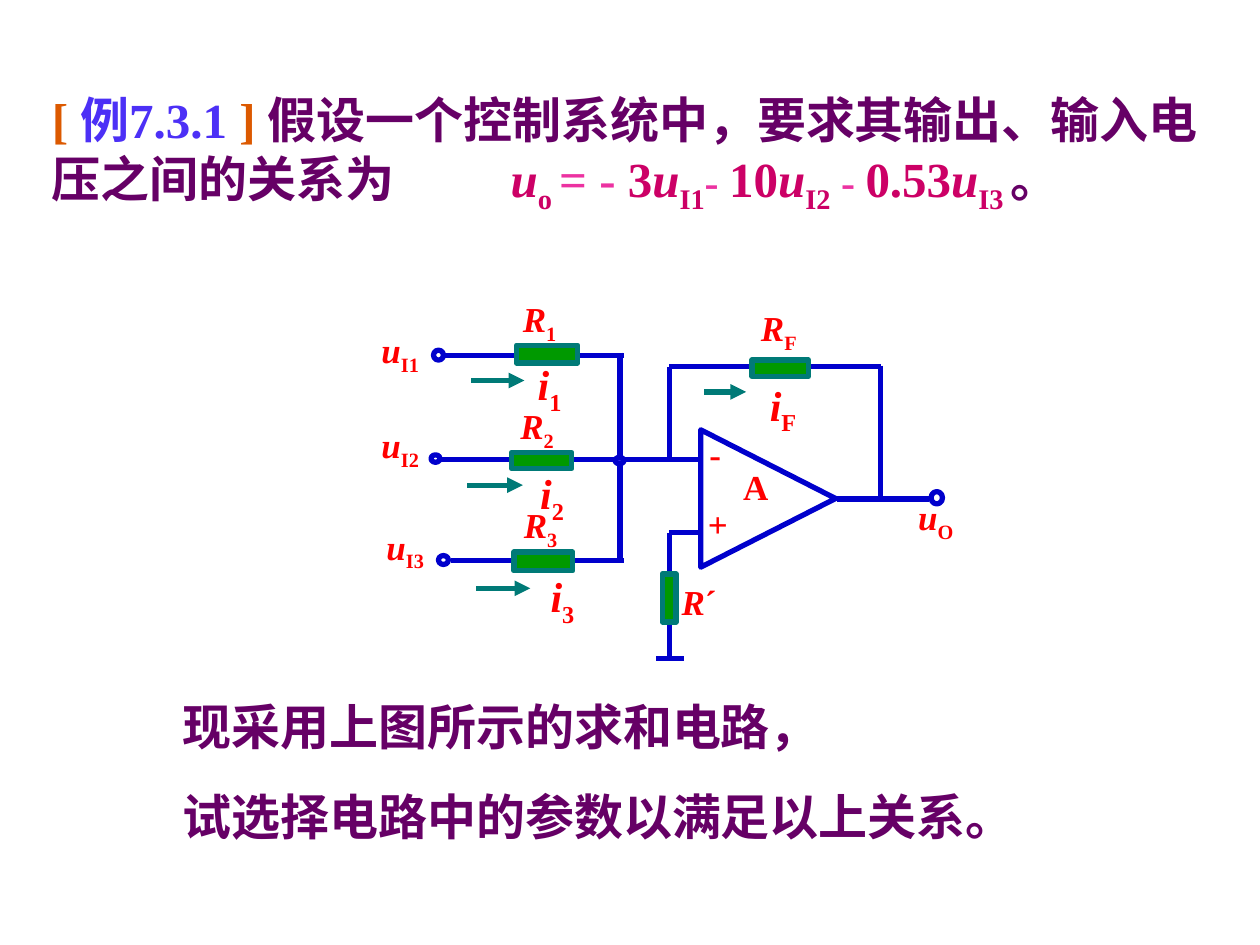
"""Build the summing-amplifier exercise slide with its circuit diagram."""
from dataclasses import dataclass

import lxml.etree
import pptx
import pptx.dml.color
import pptx.enum.shapes
import pptx.enum.text
import pptx.oxml.ns
import pptx.util

Cm = pptx.util.Cm
Pt = pptx.util.Pt
Shape = pptx.enum.shapes.MSO_SHAPE


@dataclass(frozen=True)
class Theme:
    font: str = "Times New Roman"
    bracket: str = "DC5900"
    number: str = "4C30F6"
    body: str = "660066"
    formula: str = "CC0066"
    operator: str = "EC32A1"
    label: str = "FF0000"
    wire: str = "0000CC"
    edge: str = "007A77"
    resistor: str = "009900"
    text_size: int = 28
    operator_size: int = 24
    current_size: int = 24
    label_size: int = 20
    line_width: int = 3


THEME = Theme()

PROBLEM = [
    ("[ ", THEME.bracket, ""),
    ("例7.3.1 ", THEME.number, ""),
    ("] ", THEME.bracket, ""),
    ("假设一个控制系统中，要求其输出、输入电压之间的关系为\t", THEME.body, ""),
    ("u", THEME.formula, "italic"),
    ("o ", THEME.formula, "sub"),
    ("= - ", THEME.operator, ""),
    ("3", THEME.formula, ""),
    ("u", THEME.formula, "italic"),
    ("I1", THEME.formula, "sub"),
    ("- ", THEME.operator, "small"),
    ("10", THEME.formula, ""),
    ("u", THEME.formula, "italic"),
    ("I2", THEME.formula, "sub"),
    (" - ", THEME.operator, "small"),
    ("0.53", THEME.formula, ""),
    ("u", THEME.formula, "italic"),
    ("I3 ", THEME.formula, "sub"),
    ("。", THEME.body, ""),
]
TASK = ["现采用上图所示的求和电路，", "试选择电路中的参数以满足以上关系。"]

WIRES = [
    (8.92, 7.16, 12.57, 7.16), (8.89, 9.26, 14.12, 9.26), (9.09, 11.3, 12.57, 11.3),
    (12.5, 7.11, 12.5, 11.3), (13.49, 9.3, 13.49, 7.39), (13.49, 7.39, 17.75, 7.39),
    (17.75, 7.37, 17.75, 10.06), (16.87, 10.06, 18.72, 10.06),
    (13.49, 10.74, 14.12, 10.74), (13.49, 10.74, 13.49, 13.28),
    (13.23, 13.28, 13.79, 13.28),
]
RESISTORS = [
    (10.41, 6.96, 1.24, 0.36), (10.31, 9.12, 1.22, 0.33), (10.36, 11.13, 1.19, 0.38),
    (15.16, 7.26, 1.14, 0.33), (13.35, 11.57, 0.28, 0.97),
]
TERMINALS = [
    (8.74, 7.06, 0.2, 0.2), (8.69, 9.17, 0.18, 0.15),
    (8.84, 11.2, 0.2, 0.18), (18.77, 9.91, 0.23, 0.25),
]
SUMMING_NODE = (12.4, 9.22, 0.18, 0.13)
AMPLIFIER = (14.1, 8.69, 2.77, 2.72)
CURRENT_ARROWS = [
    (9.5, 7.67, 10.57, 7.67), (9.42, 9.78, 10.54, 9.78),
    (9.6, 11.86, 10.69, 11.86), (14.2, 7.9, 15.04, 7.9),
]
CURRENTS = [("1", 10.59, 7.11), ("2", 10.64, 9.3), ("3", 10.85, 11.38), ("F", 15.27, 7.52)]
SYMBOLS = [
    ("u", "I1", 7.44, 6.5), ("u", "I2", 7.44, 8.41), ("u", "I3", 7.54, 10.46),
    ("u", "O", 18.26, 9.86), ("R", "1", 10.29, 5.87), ("R", "2", 10.24, 8.03),
    ("R", "3", 10.31, 10.03), ("R", "F", 15.09, 6.05),
]
SIGNS = [("-", 14.05, 8.59), ("A", 14.73, 9.25), ("+", 14.02, 10.01)]


def rgb(code):
    """Return the colour for a hex code."""
    return pptx.dml.color.RGBColor.from_string(code)


def place(box, left, top, width, height):
    """Move and size a box in centimetres."""
    box.left, box.top, box.width, box.height = map(Cm, (left, top, width, height))


def style_paragraph(para, size, color=None):
    """Set the shared bold font of a paragraph."""
    para.alignment = pptx.enum.text.PP_ALIGN.LEFT
    para.font.name = THEME.font
    para.font.size = Pt(size)
    para.font.bold = True
    if color:
        para.font.color.rgb = rgb(color)


def add_span(para, text, style="", color=None):
    """Append a run that may be italic, subscript or small."""
    span = para.add_run()
    span.text = text
    if color:
        span.font.color.rgb = rgb(color)
    if style == "italic":
        span.font.italic = True
    elif style == "sub":
        span.font._element.set("baseline", "-25000")
    elif style == "small":
        span.font.size = Pt(THEME.operator_size)


def prepare_frame(box):
    """Make a text box wrap, start at the top and keep its size."""
    frame = box.text_frame
    frame.word_wrap = True
    frame.auto_size = pptx.enum.text.MSO_AUTO_SIZE.NONE
    frame.vertical_anchor = pptx.enum.text.MSO_ANCHOR.TOP
    return frame


def fill_problem(box):
    """Write the problem statement with its formula."""
    place(box, 0.79, 1.68, 23.98, 2.79)
    para = prepare_frame(box).paragraphs[0]
    tabs = lxml.etree.SubElement(para._p.get_or_add_pPr(), pptx.oxml.ns.qn("a:tabLst"))
    lxml.etree.SubElement(tabs, pptx.oxml.ns.qn("a:tab"), pos=str(Cm(9.25)), algn="l")
    style_paragraph(para, THEME.text_size)
    for text, color, style in PROBLEM:
        add_span(para, text, style, color)


def fill_task(box):
    """Write the task lines without bullets."""
    place(box, 3.43, 13.92, 19.89, 3.25)
    frame = prepare_frame(box)
    for index, line in enumerate(TASK):
        para = frame.add_paragraph() if index else frame.paragraphs[0]
        properties = para._p.get_or_add_pPr()
        properties.set("marL", "0")
        properties.set("indent", "0")
        lxml.etree.SubElement(properties, pptx.oxml.ns.qn("a:buNone"))
        para.space_before = Pt(17.5 if index else 0)
        style_paragraph(para, THEME.text_size, THEME.body)
        add_span(para, line)


def add_line(page, ends, color, arrow=False):
    """Draw a straight line, with an arrowhead at its end if asked."""
    straight = pptx.enum.shapes.MSO_CONNECTOR.STRAIGHT
    line = page.shapes.add_connector(straight, *map(Cm, ends))
    line.line.color.rgb = rgb(color)
    line.line.width = Pt(THEME.line_width)
    if arrow:
        outline = line.line._get_or_add_ln()
        lxml.etree.SubElement(outline, pptx.oxml.ns.qn("a:tailEnd"), type="triangle")
    lxml.etree.SubElement(line._element.spPr, pptx.oxml.ns.qn("a:effectLst"))


def add_part(page, kind, frame, edge, fill=None):
    """Draw an outlined circuit part."""
    part = page.shapes.add_shape(kind, *map(Cm, frame))
    part.shadow.inherit = False
    part.line.color.rgb = rgb(edge)
    part.line.width = Pt(THEME.line_width)
    if fill:
        part.fill.solid()
        part.fill.fore_color.rgb = rgb(fill)
    else:
        part.fill.background()
    return part


def add_label(page, left, top, size, *spans):
    """Write a red circuit label from text and style pairs."""
    box = page.shapes.add_textbox(Cm(left), Cm(top), Cm(1.6), Cm(1.22))
    para = prepare_frame(box).paragraphs[0]
    style_paragraph(para, size, THEME.label)
    for text, style in spans:
        add_span(para, text, style)


def draw_circuit(page):
    """Draw the wires and parts of the summing amplifier."""
    for ends in WIRES:
        add_line(page, ends, THEME.wire)
    for frame in RESISTORS:
        add_part(page, Shape.RECTANGLE, frame, THEME.edge, THEME.resistor)
    for frame in TERMINALS:
        add_part(page, Shape.OVAL, frame, THEME.wire)
    add_part(page, Shape.OVAL, SUMMING_NODE, THEME.wire, THEME.number)
    add_part(page, Shape.ISOSCELES_TRIANGLE, AMPLIFIER, THEME.wire).rotation = 90
    for ends in CURRENT_ARROWS:
        add_line(page, ends, THEME.edge, arrow=True)


def label_circuit(page):
    """Name the currents, voltages, resistors and amplifier inputs."""
    for index, left, top in CURRENTS:
        add_label(page, left, top, THEME.current_size, ("i", "italic"), (index, "sub"))
    for symbol, index, left, top in SYMBOLS:
        add_label(page, left, top, THEME.label_size, (symbol, "italic"), (index, "sub"))
    for sign, left, top in SIGNS:
        add_label(page, left, top, THEME.label_size, (sign, ""))
    add_label(page, 13.49, 11.58, THEME.label_size, ("R", "italic"), ("´", ""))


def main():
    """Build and save the deck."""
    deck = pptx.Presentation()
    deck.slide_width, deck.slide_height = Cm(25.4), Cm(19.05)
    page = deck.slides.add_slide(deck.slide_layouts[1])
    fill_problem(page.shapes.title)
    fill_task(page.placeholders[1])
    draw_circuit(page)
    label_circuit(page)
    deck.save("out.pptx")


if __name__ == "__main__":
    main()
